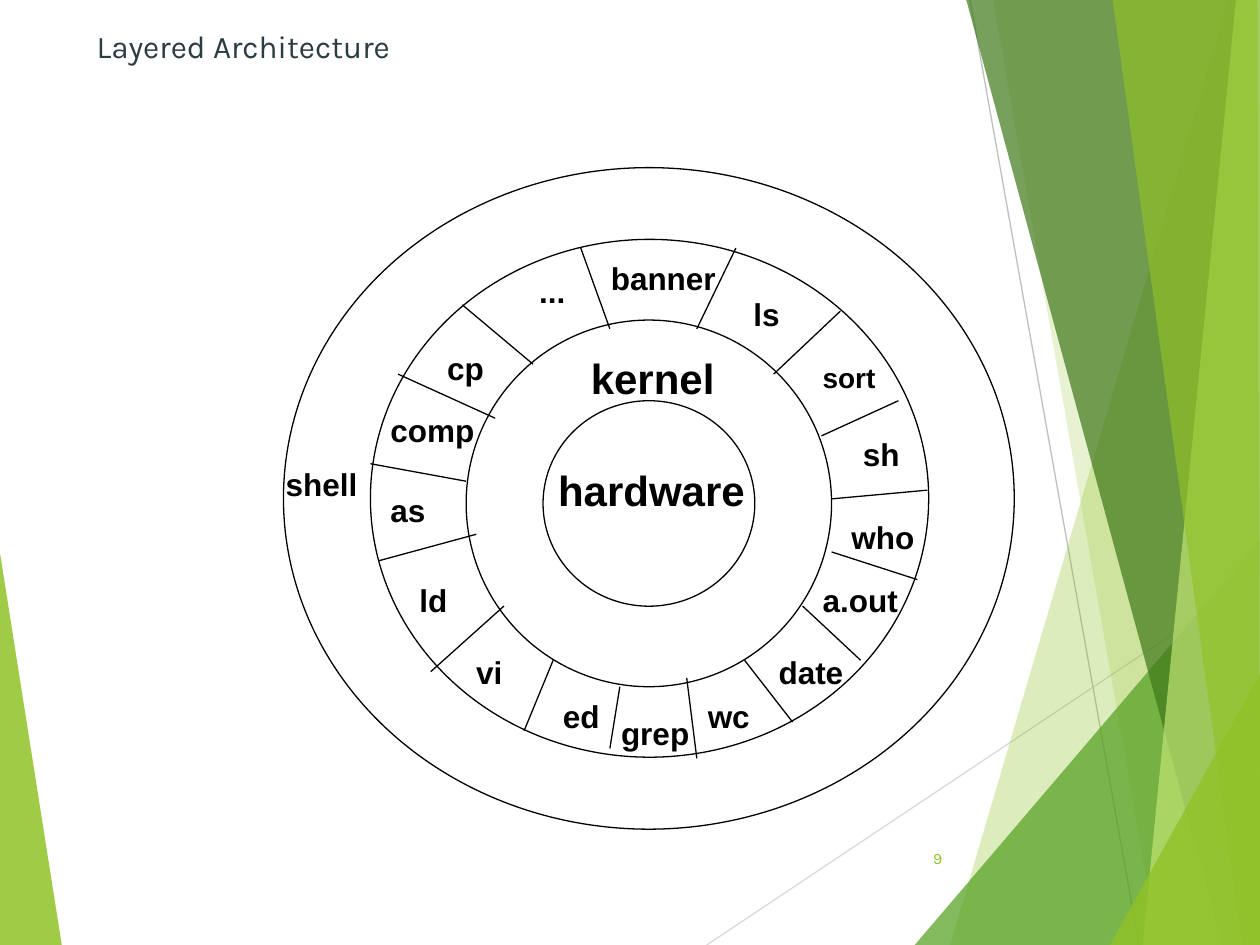
from lxml import etree
from pptx import Presentation
from pptx.dml.color import RGBColor
from pptx.enum.shapes import MSO_CONNECTOR as CONN, MSO_SHAPE as SHAPE
from pptx.enum.text import MSO_ANCHOR as ANCHOR, MSO_AUTO_SIZE as AUTO, PP_ALIGN as ALIGN
from pptx.oxml.ns import qn
from pptx.util import Pt

W, H = 720, 540
BLACK, LIME = "000000", "90C226"


def rgb(value):
    return RGBColor.from_string(value)


class Deck:
    """Style of the slide and a method for each kind of element."""
    font, heading, line_width = "Arial", "Karla", 0.75

    def __init__(self, slide):
        self.s = slide

    def run(self, p, text, size, color, font, bold=False):
        r = p.add_run()
        r.text = text
        r.font.size, r.font.name, r.font.bold = Pt(size), font, bold
        r.font.color.rgb = rgb(color)

    def title(self, text, x, y, w, h):
        sp = self.s.shapes.title
        sp.left, sp.top, sp.width, sp.height = Pt(x), Pt(y), Pt(w), Pt(h)
        tf = sp.text_frame
        tf.vertical_anchor, tf.auto_size = ANCHOR.TOP, AUTO.NONE
        p = tf.paragraphs[0]
        p.alignment = ALIGN.LEFT
        self.run(p, text, 18, "2C3C43", self.heading)

    def label(self, text, x, y, w, size=18):
        height = size * 1.2 + 7.2
        sp = self.s.shapes.add_textbox(Pt(x), Pt(y), Pt(w), Pt(height))
        tf = sp.text_frame
        tf.word_wrap, tf.auto_size = False, AUTO.SHAPE_TO_FIT_TEXT
        self.run(tf.paragraphs[0], text, size, BLACK, self.font, bold=True)

    def page_number(self, text, x, y, w, h):
        tf = self.s.shapes.add_textbox(Pt(x), Pt(y), Pt(w), Pt(h)).text_frame
        tf.word_wrap, tf.vertical_anchor = True, ANCHOR.MIDDLE
        p = tf.paragraphs[0]
        p.alignment = ALIGN.RIGHT
        self.run(p, text, 9, LIME, self.heading)

    def ring(self, x, y, w, h):
        sp = self.s.shapes.add_shape(SHAPE.OVAL, Pt(x), Pt(y), Pt(w), Pt(h))
        sp.shadow.inherit = False
        sp.fill.background()
        sp.line.color.rgb, sp.line.width = rgb(BLACK), Pt(self.line_width)

    def line(self, x1, y1, x2, y2, color=BLACK):
        ln = self.s.shapes.add_connector(
            CONN.STRAIGHT, Pt(x1), Pt(y1), Pt(x2), Pt(y2))
        ln.line.color.rgb, ln.line.width = rgb(color), Pt(self.line_width)
        etree.SubElement(ln._element.spPr, qn("a:effectLst"))

    def facet(self, points, color, opacity):
        start, *rest = [(Pt(x), Pt(y)) for x, y in points]
        fb = self.s.shapes.build_freeform(*start)
        fb.add_line_segments(rest, close=True)
        sp = fb.convert_to_shape()
        sp.shadow.inherit = False
        sp.fill.solid()
        sp.fill.fore_color.rgb = rgb(color)
        sp.line.fill.background()
        clr = sp._element.spPr.find(qn("a:solidFill"))[0]
        etree.SubElement(clr, qn("a:alpha"), val=str(opacity * 1000))


# Outline, colour and opacity in percent
LEFT_FACET = ([(0, 316), (35.3, H), (0, H)], LIME, 85)
RIGHT_FACETS = [
    ([(702, 0), (543, H), (W, H), (W, 0)], LIME, 30),
    ([(567.4, 0), (661.7, H), (W, H), (W, 0)], LIME, 20),
    ([(522.7, H), (W, 308.9), (W, H)], "54A021", 72),
    ([(552.2, 0), (698.4, H), (W, H), (W, 0)], "3F7819", 70),
    ([(706.3, 0), (653, H), (W, H), (W, 0)], "C0E474", 70),
    ([(635.8, 0), (709.9, H), (W, H), (718.6, 0)], LIME, 65),
    ([(634.3, H), (W, 385.2), (W, H)], LIME, 80),
]
# Left, top, width, height, from the shell inwards
RINGS = [
    (162, 95.8, 417.6, 378),
    (211.7, 136.8, 319, 295.9),
    (266.4, 182.9, 208.8, 209.5),
    (310.3, 229, 121, 117.4),
]
# Dividers between the commands
SPOKES = [
    (304.6, 208.1, 264.2, 174.2), (288, 346.3, 246.2, 383.8),
    (216.7, 320.4, 272.2, 305.3), (211.7, 265, 266.4, 275),
    (227.5, 213.8, 283, 239), (299.5, 417.6, 316.1, 377.3),
    (348.5, 427.7, 354.2, 392.4), (398.2, 433.4, 392.4, 387.4),
    (425.5, 377.3, 452.9, 412.6), (458.6, 346.3, 491.8, 377.3),
    (475.2, 315.4, 524.2, 331.2), (475.2, 285.1, 529.9, 280.1),
    (469.4, 249.1, 513.4, 229), (442.1, 213.8, 480.2, 177.8),
    (398.2, 187.9, 420.5, 141.8), (348.5, 187.9, 331.9, 141.8),
]
# Text, left, top, width and, if not 18, size
LABELS = [
    ("hardware", 311.8, 262.1, 121, 24), ("kernel", 330.5, 198, 85, 24),
    ("shell", 156.2, 262.1, 55.4), ("ld", 232.6, 328.3, 30.2),
    ("as", 216, 277.2, 34.6), ("comp", 216, 231.1, 62.6),
    ("cp", 248.4, 195.8, 35.3), ("vi", 265, 369.4, 29.5),
    ("ed", 314.6, 394.6, 35.3), ("grep", 347.8, 404.6, 53.3),
    ("wc", 397.4, 394.6, 38.2), ("date", 437.8, 369.4, 51.8),
    ("a.out", 463, 328.3, 57.6), ("who", 479.5, 292.3, 50.4),
    ("sh", 486, 244.8, 35.3), ("sort", 463, 202.3, 44.6, 16),
    ("ls", 423.4, 164.9, 29.5), ("banner", 342, 144.7, 74.2),
    ("...", 301, 151.9, 29.5),
]


def main():
    prs = Presentation()
    prs.slide_width, prs.slide_height = Pt(W), Pt(H)
    deck = Deck(prs.slides.add_slide(prs.slide_layouts[5]))

    # Background facets and hairlines
    deck.facet(*LEFT_FACET)
    deck.line(403.9, H, W, 329, "D9D9D9")
    deck.line(554.4, 0, 650.9, H, "BFBFBF")
    for facet in RIGHT_FACETS:
        deck.facet(*facet)

    # Title and page number
    deck.title("Layered Architecture", 48, 12, 630, 66)
    deck.page_number("9", 505, 476, 40.5, 28.8)

    # Layer diagram
    for ring in RINGS:
        deck.ring(*ring)
    for spoke in SPOKES:
        deck.line(*spoke)
    for label in LABELS:
        deck.label(*label)

    prs.save("out.pptx")


if __name__ == "__main__":
    main()
